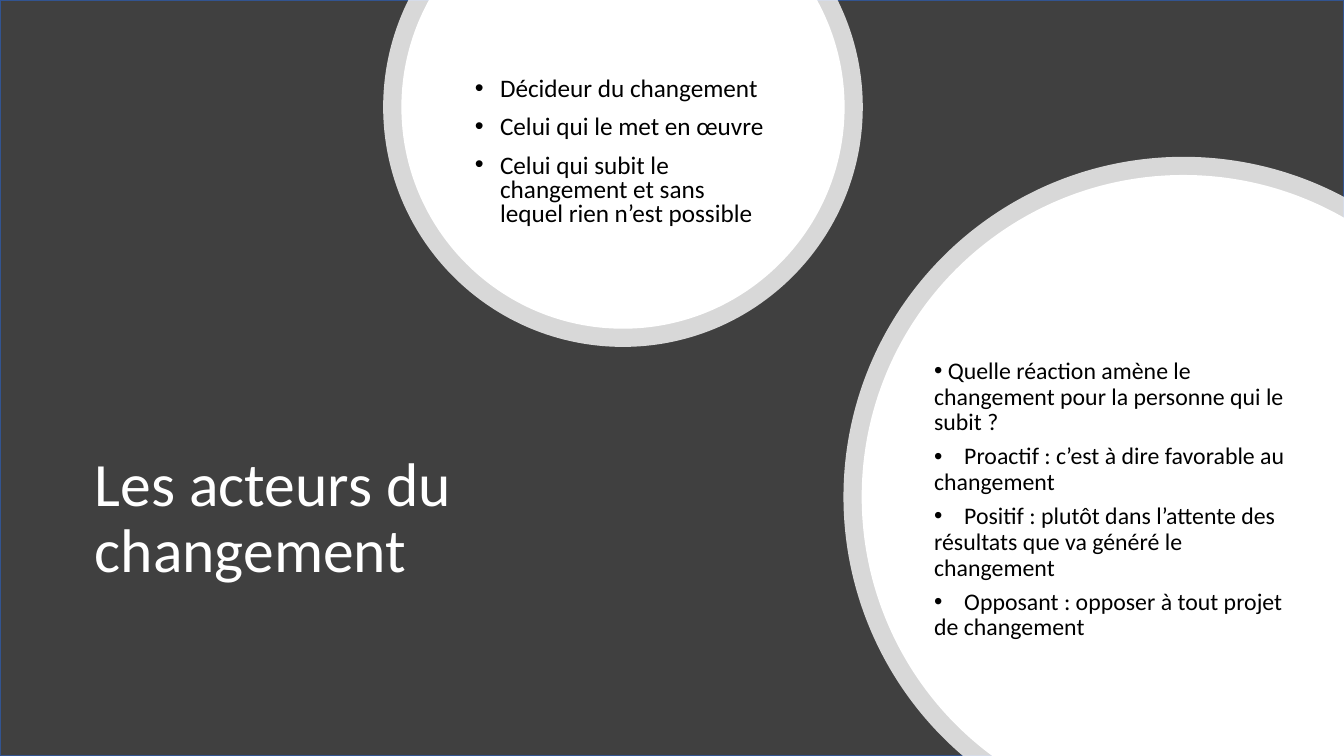
import math

from lxml import etree
from pptx import Presentation
from pptx.dml.color import RGBColor
from pptx.enum.shapes import MSO_SHAPE
from pptx.enum.text import MSO_ANCHOR, MSO_AUTO_SIZE, PP_ALIGN
from pptx.oxml.ns import qn
from pptx.util import Pt

RECT = MSO_SHAPE.RECTANGLE
MIDDLE, LEFT, NO_FIT = MSO_ANCHOR.MIDDLE, PP_ALIGN.LEFT, MSO_AUTO_SIZE.NONE

W, H = 960, 540
RING = 13
FONT = "Calibri"
COLORS = {"dark": "404040", "edge": "325491", "white": "FFFFFF", "black": "000000"}

ACTORS = [
    "Décideur du changement",
    "Celui qui le met en œuvre",
    "Celui qui subit le changement et sans lequel rien n’est possible",
]
REACTIONS = [
    " Quelle réaction amène le changement pour la personne qui le subit ?",
    "\tProactif : c’est à dire favorable au changement",
    "\tPositif : plutôt dans l’attente des résultats que va généré le changement",
    "\tOpposant : opposer à tout projet de changement",
]


def rgb(name):
    return RGBColor.from_string(COLORS[name])


def place(sp, box):
    sp.left, sp.top, sp.width, sp.height = (Pt(v) for v in box)
    tf = sp.text_frame
    tf.word_wrap = True
    tf.auto_size = NO_FIT
    tf.vertical_anchor = MIDDLE
    return tf


def bring_to_front(sp):
    sp.element.getparent().append(sp.element)


def add_text(p, text, size, color, spacing):
    p.alignment = LEFT
    p.line_spacing = spacing
    r = p.add_run()
    r.text = text
    r.font.size = Pt(size)
    r.font.name = FONT
    r.font.color.rgb = rgb(color)


def add_bullet(p, hang=0, tab=None):
    pPr = p._p.get_or_add_pPr()
    pPr.set("marL", str(Pt(hang)))
    pPr.set("indent", str(-Pt(hang)))
    etree.SubElement(pPr, qn("a:buFont"), typeface="Arial")
    etree.SubElement(pPr, qn("a:buChar"), char="•")
    if tab:
        tabs = etree.SubElement(pPr, qn("a:tabLst"))
        etree.SubElement(tabs, qn("a:tab"), pos=str(Pt(tab)), algn="l")


def background(s, box):
    sp = s.shapes.add_shape(RECT, *(Pt(v) for v in box))
    sp.shadow.inherit = False
    sp.fill.solid()
    sp.fill.fore_color.rgb = rgb("dark")
    sp.line.color.rgb = rgb("edge")
    sp.line.width = Pt(1)


def round_arc(sp, cx, cy, radius, angles):
    """Turn the first segments of the outline into curves through the angles."""
    segments = list(sp.element.iter(qn("a:lnTo")))
    for segment, a, b in zip(segments, angles, angles[1:]):
        k = radius * 4 / 3 * math.tan((b - a) / 4)
        controls = [
            (cx + radius * math.cos(t) - d * math.sin(t),
             cy + radius * math.sin(t) + d * math.cos(t))
            for t, d in ((a, k), (b, -k))
        ]
        segment.tag = qn("a:cubicBezTo")
        for i, (x, y) in enumerate(controls):
            pt = etree.Element(qn("a:pt"), x=str(Pt(x) - sp.left), y=str(Pt(y) - sp.top))
            segment.insert(i, pt)


def clipped_disc(s, cx, cy, radius, angles, corners, alpha=100):
    """Draw a white disc cut off at the slide edges."""
    arc = [(cx + radius * math.cos(a), cy + radius * math.sin(a)) for a in angles]
    points = [(Pt(x), Pt(y)) for x, y in arc + corners]
    builder = s.shapes.build_freeform(*points[0])
    builder.add_line_segments(points[1:], close=True)
    sp = builder.convert_to_shape()
    round_arc(sp, cx, cy, radius, angles)
    sp.shadow.inherit = False
    sp.line.fill.background()
    sp.fill.solid()
    sp.fill.fore_color.rgb = rgb("white")
    if alpha < 100:
        clr = sp.element.spPr.find(qn("a:solidFill"))[0]
        etree.SubElement(clr, qn("a:alpha"), val=str(alpha * 1000))


def top_circle(s, cx, cy, radius):
    for r, alpha in ((radius, 80), (radius - RING, 100)):
        cut = math.asin(cy / r)
        angles = [-cut, 0, math.pi / 2, math.pi, math.pi + cut]
        clipped_disc(s, cx, cy, r, angles, [], alpha)


def corner_circle(s, cx, cy, radius):
    for r, alpha in ((radius, 80), (radius - RING, 100)):
        start = math.pi - math.asin((H - cy) / r)
        end = 2 * math.pi - math.acos((W - cx) / r)
        angles = [start, math.pi, 1.5 * math.pi, end]
        clipped_disc(s, cx, cy, r, angles, [(W, H)], alpha)


def title(s, box):
    sp = s.shapes.title
    bring_to_front(sp)
    tf = place(sp, box)
    add_text(tf.paragraphs[0], "Les acteurs du changement", 44, "white", 0.9)


def actors(s, box):
    sp = s.placeholders[1]
    bring_to_front(sp)
    tf = place(sp, box)
    tf.margin_top = Pt(25)
    for i, text in enumerate(ACTORS):
        p = tf.add_paragraph() if i else tf.paragraphs[0]
        add_text(p, text, 18, "black", 0.8)
        p.space_before = Pt(10 if i else 0)
        add_bullet(p, hang=18)


def reactions(s, box):
    tf = place(s.shapes.add_textbox(0, 0, 0, 0), box)
    for i, text in enumerate(REACTIONS):
        p = tf.add_paragraph() if i else tf.paragraphs[0]
        add_text(p, text, 17, "black", 0.9)
        p.space_after = Pt(6)
        add_bullet(p, tab=21.5)


def main():
    prs = Presentation()
    prs.slide_width, prs.slide_height = Pt(W), Pt(H)
    s = prs.slides.add_slide(prs.slide_layouts[1])
    background(s, (0, 0, W, H))
    top_circle(s, 445, 76.5, 171.3)
    corner_circle(s, 845.5, 355, 243)
    title(s, (60.5, 275.8, 476.6, 190.8))
    actors(s, (332, 28, 226.8, 141))
    reactions(s, (660.2, 247.7, 273.6, 218.9))
    prs.save("out.pptx")


if __name__ == "__main__":
    main()
